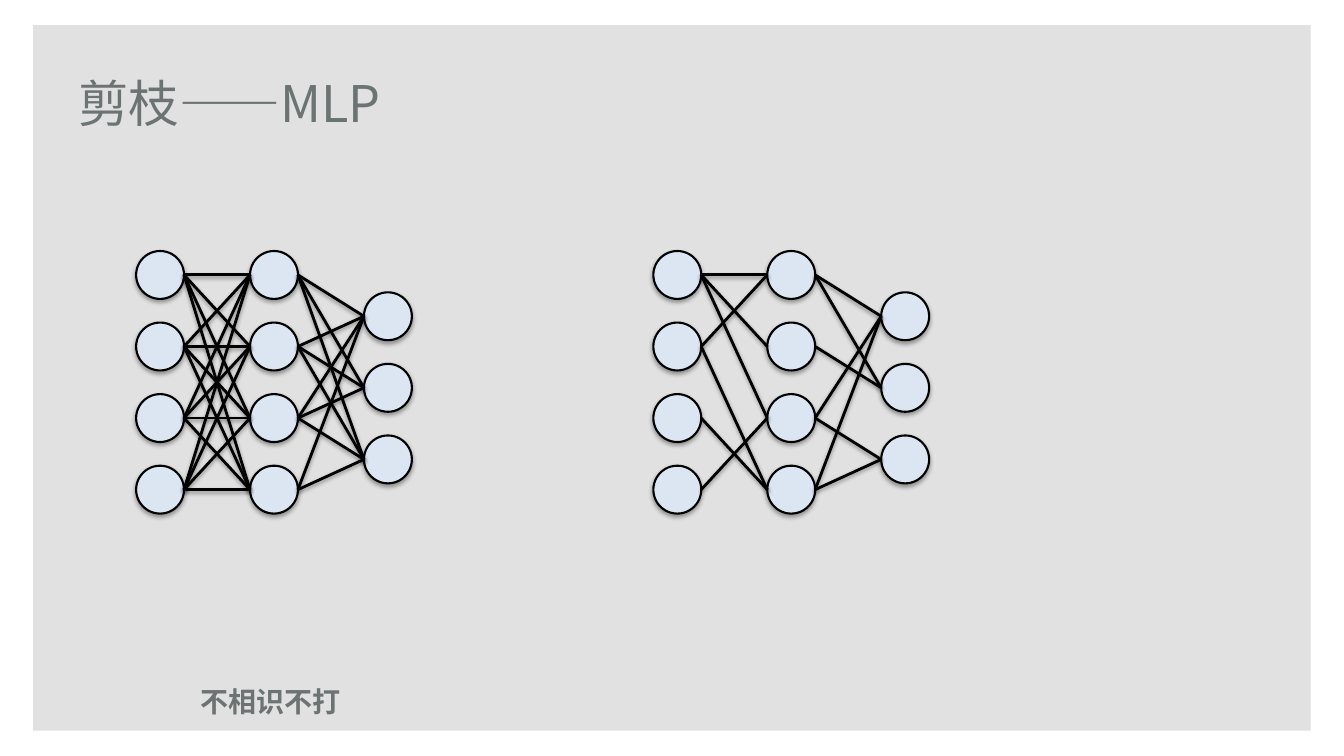
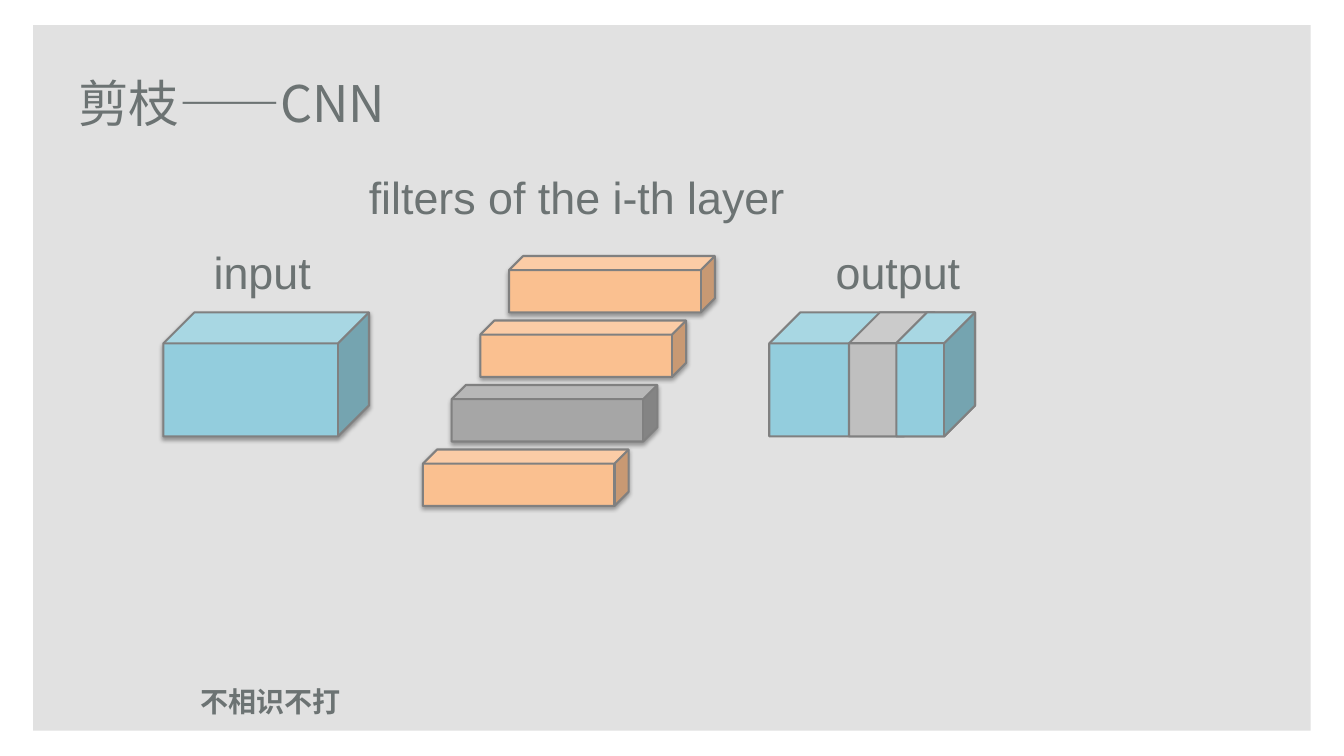
from lxml import etree
from pptx import Presentation
from pptx.dml.color import RGBColor
from pptx.enum.shapes import MSO_CONNECTOR, MSO_SHAPE
from pptx.enum.text import MSO_ANCHOR
from pptx.oxml.ns import qn
from pptx.util import Inches, Pt

RECTANGLE, OVAL, CUBE = MSO_SHAPE.RECTANGLE, MSO_SHAPE.OVAL, MSO_SHAPE.CUBE
STRAIGHT = MSO_CONNECTOR.STRAIGHT
TOP, MIDDLE = MSO_ANCHOR.TOP, MSO_ANCHOR.MIDDLE

PANEL = RGBColor(0xE1, 0xE1, 0xE1)
TEXT = RGBColor(0x6C, 0x73, 0x73)
BLACK = RGBColor(0x00, 0x00, 0x00)
NEURON = RGBColor(0xDC, 0xE6, 0xF2)
EDGE = RGBColor(0x80, 0x80, 0x80)
TEAL = RGBColor(0x93, 0xCD, 0xDD)
ORANGE = RGBColor(0xFA, 0xC0, 0x90)
PRUNED_FILTER = RGBColor(0xA6, 0xA6, 0xA6)
PRUNED_CHANNEL = RGBColor(0xBF, 0xBF, 0xBF)
CJK, LATIN = "Noto Sans CJK SC", "Arial"


def add_text(page, text, area, size, font, anchor=TOP, bold=False, before=0):
    box = page.shapes.add_textbox(*[Inches(n) for n in area])
    frame = box.text_frame
    frame.word_wrap = True
    frame.vertical_anchor = anchor
    frame.text = text
    para = frame.paragraphs[0]
    para.space_before = Pt(before)
    span = para.runs[0]
    span.font.size = Pt(size)
    span.font.name = font
    span.font.bold = bold
    span.font.color.rgb = TEXT
    etree.SubElement(span.font._element, qn("a:ea"), typeface=font)


def outline(item, color, width, shadow=None):
    """Set the line, then an optional (opacity %, distance pt) shadow below."""
    item.line.color.rgb = color
    item.line.width = Pt(width)
    effects = etree.SubElement(item._element.spPr, qn("a:effectLst"))
    if shadow:
        opacity, distance = shadow
        outer = etree.SubElement(
            effects, qn("a:outerShdw"), blurRad=str(Pt(3.1)),
            dist=str(Pt(distance)), dir="5400000", rotWithShape="0")
        shade = etree.SubElement(outer, qn("a:srgbClr"), val=str(BLACK))
        etree.SubElement(shade, qn("a:alpha"), val=str(opacity * 1000))


SHAPE_SHADOW, LINE_SHADOW = (35, 1.8), (38, 1.6)

deck = Presentation()
deck.slide_width, deck.slide_height = Inches(13.33), Inches(7.5)

# Shared panel, title and footer
pages = []
for topic in ("MLP", "CNN"):
    page = deck.slides.add_slide(deck.slide_layouts[6])
    panel = page.shapes.add_shape(
        RECTANGLE, Inches(0.33), Inches(0.25), Inches(12.67), Inches(7))
    panel.shadow.inherit = False
    panel.fill.solid()
    panel.fill.fore_color.rgb = PANEL
    panel.line.fill.background()
    add_text(page, "不相识不打", (1.89, 6.62, 2.03, 0.67), 20, CJK, MIDDLE, True)
    add_text(page, "剪枝——" + topic, (0.68, 0.48, 10.55, 1.07), 36, CJK, MIDDLE)
    pages.append(page)
mlp, cnn = pages

# MLP: dense network on the left, pruned network on the right
DIAMETER, ROW, COLUMN = 0.475, 0.71, 1.13
LAYERS = [(4, 2.49), (4, 2.49), (3, 2.9)]  # neurons, top of the first
# For each pair of layers: the targets of every neuron
DENSE = [[(0, 1, 2, 3)] * 4, [(0, 1, 2)] * 3 + [(0, 2)]]
PRUNED = [[(0, 1, 2), (0, 3), (3,), (2,)], [(0, 1), (1,), (0, 2), (0, 2)]]

for left, links in ((1.35, DENSE), (6.48, PRUNED)):
    network = mlp.shapes.add_group_shape()
    for layer, (count, top) in enumerate(LAYERS):
        for row in range(count):
            neuron = network.shapes.add_shape(
                OVAL, Inches(left + layer * COLUMN), Inches(top + row * ROW),
                Inches(DIAMETER), Inches(DIAMETER))
            neuron.fill.solid()
            neuron.fill.fore_color.rgb = NEURON
            outline(neuron, BLACK, 1.5, SHAPE_SHADOW)
    for layer, sources in enumerate(links):
        start_x = left + layer * COLUMN + DIAMETER
        end_x = left + (layer + 1) * COLUMN
        start_top, end_top = LAYERS[layer][1], LAYERS[layer + 1][1]
        for source, targets in enumerate(sources):
            for target in targets:
                link = network.shapes.add_connector(
                    STRAIGHT,
                    Inches(start_x),
                    Inches(start_top + source * ROW + DIAMETER / 2),
                    Inches(end_x),
                    Inches(end_top + target * ROW + DIAMETER / 2))
                outline(link, BLACK, 2, LINE_SHADOW)

# CNN: input block, stack of filters, output block with a pruned channel
BLOCK_TOP, BLOCK_HEIGHT = 3.1, 1.23
WIDTH, FILTER_HEIGHT = 2.04, 0.56
# left, top, width, height, depth ratio, fill, shadow
blocks = [(1.62, BLOCK_TOP, WIDTH, BLOCK_HEIGHT, 0.25, TEAL, SHAPE_SHADOW)]
for step, color in enumerate((ORANGE, ORANGE, PRUNED_FILTER, ORANGE)):
    blocks.append((5.05 - 0.285 * step, 2.54 + 0.64 * step,
                   WIDTH, FILTER_HEIGHT, 0.25, color, SHAPE_SHADOW))
for left, width, depth, color in ((7.63, WIDTH, 0.25, TEAL),
                                  (8.42, 0.85, 0.36, PRUNED_CHANNEL),
                                  (8.89, 0.78, 0.39, TEAL)):
    blocks.append((left, BLOCK_TOP, width, BLOCK_HEIGHT, depth, color, None))

for left, top, width, height, depth, color, shadow in blocks:
    block = cnn.shapes.add_shape(
        CUBE, Inches(left), Inches(top), Inches(width), Inches(height))
    block.adjustments[0] = depth
    block.fill.solid()
    block.fill.fore_color.rgb = color
    outline(block, EDGE, 1.5, shadow)

for label, left, top, width in (("filters of the i-th layer", 3.56, 1.63, 5.36),
                                ("input", 2.02, 2.38, 1.54),
                                ("output", 8.19, 2.38, 1.54)):
    add_text(cnn, label, (left, top, width, 0.59), 32, LATIN, before=12)

deck.save("out.pptx")
